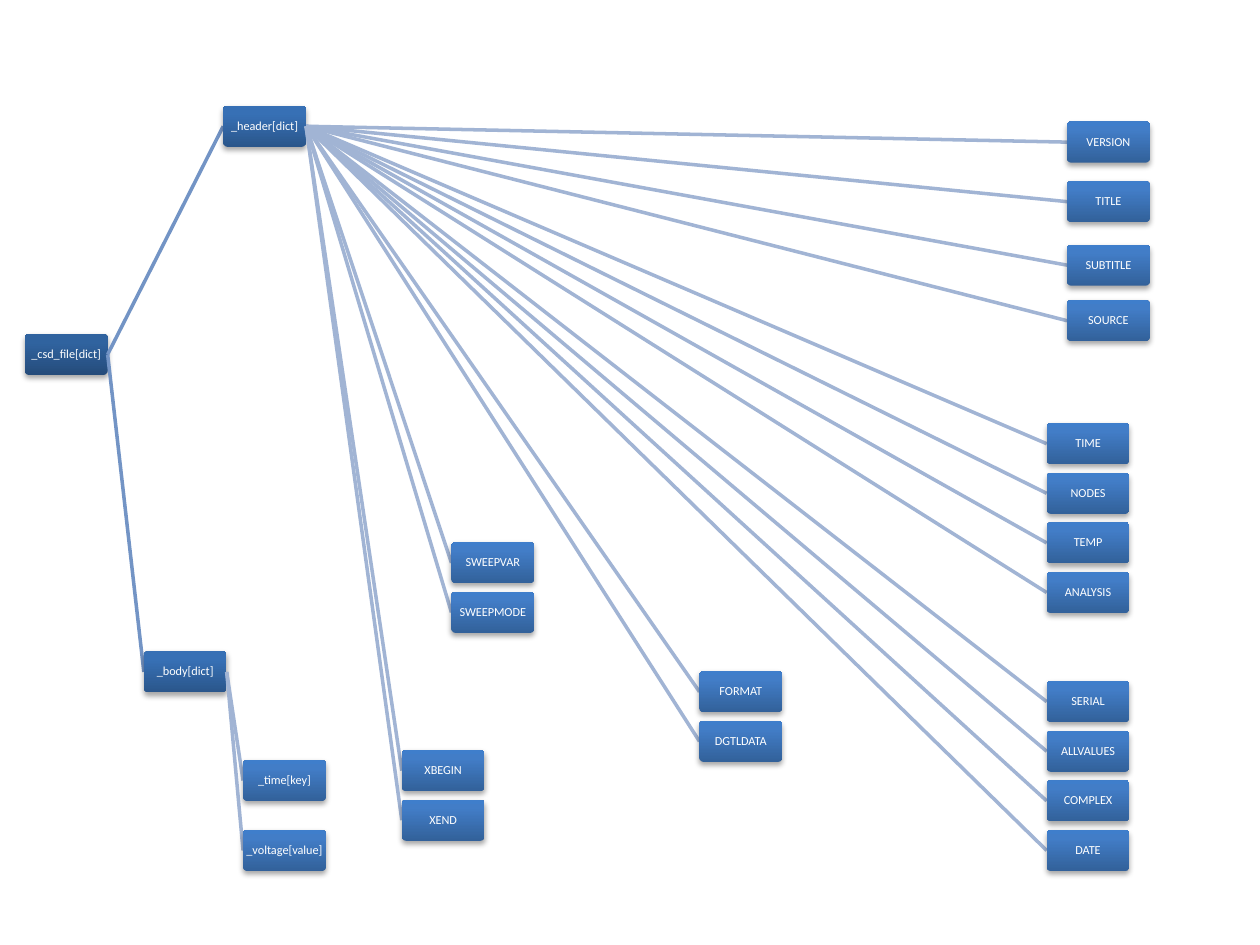
from copy import deepcopy

from lxml import etree
from pptx import Presentation
from pptx.dml.color import RGBColor
from pptx.enum.shapes import MSO_CONNECTOR, MSO_SHAPE
from pptx.enum.text import MSO_ANCHOR, PP_ALIGN
from pptx.oxml import parse_xml
from pptx.oxml.ns import nsdecls, qn
from pptx.util import Cm, Pt

ROUNDED = MSO_SHAPE.ROUNDED_RECTANGLE
STRAIGHT = MSO_CONNECTOR.STRAIGHT
MIDDLE, CENTER = MSO_ANCHOR.MIDDLE, PP_ALIGN.CENTER
LEFT_SITE, RIGHT_SITE = 1, 3

NODE_WIDTH, NODE_HEIGHT = 1.67, 0.83
STACK_STEP = 1.0

# Gradient stops from bottom to top at each depth of the tree
STOP_POSITIONS = (0, 0.8, 1)
ROOT_FILL = ("254C7B", "30639F", "2F63A2")
BRANCH_FILL = ("2A568B", "3770B5", "3570B8")
LEAF_FILL = ("32619A", "427DC7", "3F7ECB")
BRANCH_LINE, LEAF_LINE = "7394C5", "A1B4D4"

FRAME_FORMAT = {"margin_left": 0, "margin_right": 0, "margin_top": 0,
                "margin_bottom": 0, "vertical_anchor": MIDDLE, "word_wrap": True}
PARAGRAPH_FORMAT = {"alignment": CENTER, "line_spacing": 0.9}
FONT_FORMAT = {"name": "Calibri", "size": Pt(7)}


def color(hex_string):
    """Turn a hex string into a colour."""
    return RGBColor.from_string(hex_string)


def set_attributes(target, values):
    """Set every attribute named in a dict of format values."""
    for name, value in values.items():
        setattr(target, name, value)


def stack(left, top, names):
    """Place names one below the other at an equal step."""
    return [(name, left, top + row * STACK_STEP) for row, name in enumerate(names)]


def shade(shape, stop_colors):
    """Give a shape a vertical gradient and a soft shadow."""
    shape.fill.gradient()
    shape.fill.gradient_angle = 90
    properties = shape._element.spPr
    stop_list = properties.find(".//" + qn("a:gsLst"))
    stop_list.append(deepcopy(stop_list[-1]))
    for stop, position, hex_string in zip(shape.fill.gradient_stops,
                                          STOP_POSITIONS, stop_colors):
        stop.position = position
        stop.color.rgb = color(hex_string)
    shape.line.fill.background()
    properties.append(parse_xml(
        f'<a:effectLst {nsdecls("a")}><a:outerShdw blurRad="40000" dist="23000" '
        'dir="5400000" rotWithShape="0"><a:srgbClr val="000000">'
        '<a:alpha val="35000"/></a:srgbClr></a:outerShdw></a:effectLst>'))


def add_node(slide, name, left, top, stop_colors):
    """Draw one labelled node with its top left corner at the given place."""
    shape = slide.shapes.add_shape(ROUNDED, Cm(left), Cm(top),
                                   Cm(NODE_WIDTH), Cm(NODE_HEIGHT))
    shape.adjustments[0] = 0.1
    shade(shape, stop_colors)
    frame = shape.text_frame
    set_attributes(frame, FRAME_FORMAT)
    paragraph = frame.paragraphs[0]
    set_attributes(paragraph, PARAGRAPH_FORMAT)
    run = paragraph.add_run()
    run.text = name
    set_attributes(run.font, FONT_FORMAT)
    run.font.color.rgb = color("FFFFFF")
    return shape


def link(slide, parent, child, line_color):
    """Join the parent's right side to the child's left side, below the child."""
    connector = slide.shapes.add_connector(
        STRAIGHT, parent.left + parent.width, parent.top + parent.height // 2,
        child.left, child.top + child.height // 2)
    connector.begin_connect(parent, RIGHT_SITE)
    connector.end_connect(child, LEFT_SITE)
    connector.line.color.rgb = color(line_color)
    connector.line.width = Pt(2)
    etree.SubElement(connector._element.spPr, qn("a:effectLst"))
    child._element.addprevious(connector._element)


def add_children(slide, parent, children, stop_colors, line_color):
    """Draw the children of a node with their links and return them."""
    nodes = []
    for name, left, top in children:
        nodes.append(add_node(slide, name, left, top, stop_colors))
        link(slide, parent, nodes[-1], line_color)
    return nodes


def build_tree(slide):
    """Draw the whole tree of the file structure."""
    header_keys = [
        ("VERSION", 21.51, 2.45), ("TITLE", 21.51, 3.65),
        ("SUBTITLE", 21.51, 4.93), ("SOURCE", 21.51, 6.05),
        *stack(21.1, 8.53, ("TIME", "NODES", "TEMP", "ANALYSIS")),
        *stack(21.1, 13.73, ("SERIAL", "ALLVALUES", "COMPLEX", "DATE")),
        *stack(9.1, 10.93, ("SWEEPVAR", "SWEEPMODE")),
        *stack(8.1, 15.12, ("XBEGIN", "XEND")),
        *stack(14.1, 13.53, ("FORMAT", "DGTLDATA")),
    ]
    body_keys = [("_time[key]", 4.9, 15.32), ("_voltage[value]", 4.9, 16.73)]
    branches = [("_header[dict]", 4.5, 2.13), ("_body[dict]", 2.9, 13.13)]

    root = add_node(slide, "_csd_file[dict]", 0.5, 6.73, ROOT_FILL)
    header, body = add_children(slide, root, branches, BRANCH_FILL, BRANCH_LINE)
    add_children(slide, header, header_keys, LEAF_FILL, LEAF_LINE)
    add_children(slide, body, body_keys, LEAF_FILL, LEAF_LINE)


def main():
    """Build the presentation and save it."""
    presentation = Presentation()
    presentation.slide_width, presentation.slide_height = Cm(25.4), Cm(19.05)
    slide = presentation.slides.add_slide(presentation.slide_layouts[6])
    build_tree(slide)
    presentation.save("out.pptx")


main()
